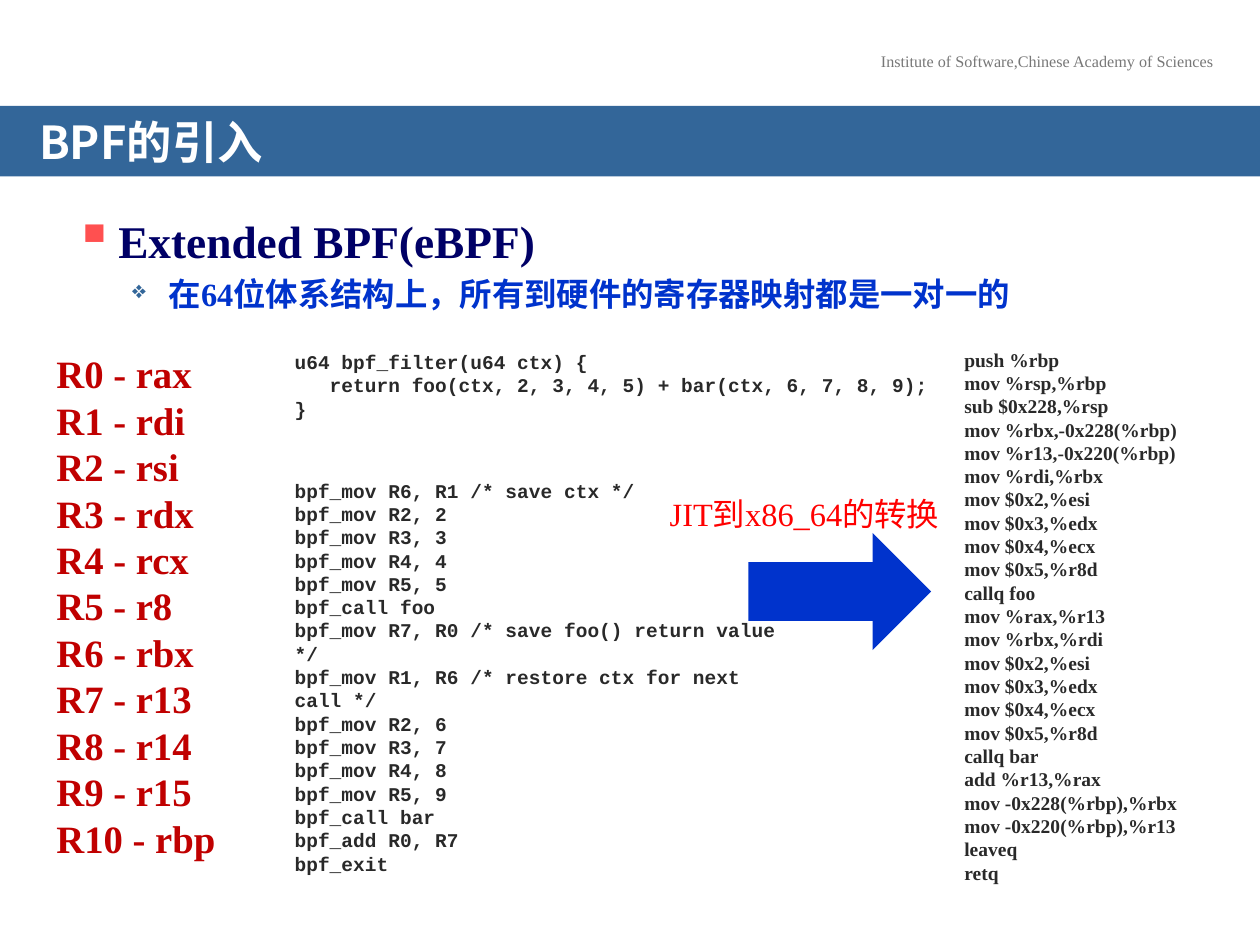
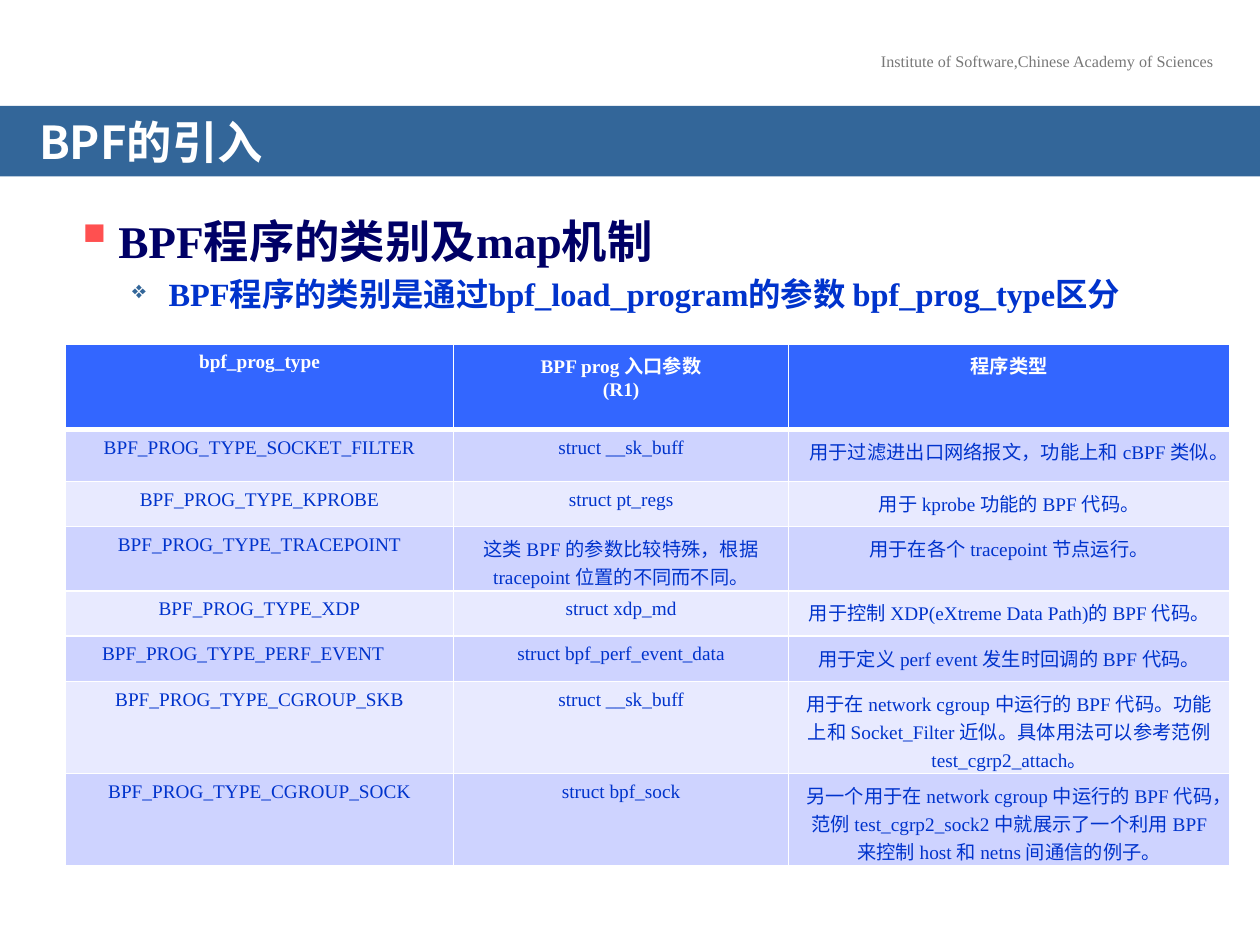
from dataclasses import dataclass

from lxml import etree
from pptx import Presentation
from pptx import util as u
from pptx.dml.color import RGBColor
from pptx.enum import shapes, text
from pptx.oxml import ns

INSTITUTE = "Institute of Software,Chinese Academy of Sciences"
TITLE = "BPF的引入"

REGISTERS = ["rax", "rdi", "rsi", "rdx", "rcx", "r8",
             "rbx", "r13", "r14", "r15", "rbp"]

C_SOURCE = """\
u64 bpf_filter(u64 ctx) {
   return foo(ctx, 2, 3, 4, 5) + bar(ctx, 6, 7, 8, 9);
}"""

BPF_CODE = """\
bpf_mov R6, R1 /* save ctx */
bpf_mov R2, 2
bpf_mov R3, 3
bpf_mov R4, 4
bpf_mov R5, 5
bpf_call foo
bpf_mov R7, R0 /* save foo() return value */
bpf_mov R1, R6 /* restore ctx for next call */
bpf_mov R2, 6
bpf_mov R3, 7
bpf_mov R4, 8
bpf_mov R5, 9
bpf_call bar
bpf_add R0, R7
bpf_exit"""

X86_CODE = """\
    push %rbp
    mov %rsp,%rbp
    sub $0x228,%rsp
    mov %rbx,-0x228(%rbp)
    mov %r13,-0x220(%rbp)
    mov %rdi,%rbx
    mov $0x2,%esi
    mov $0x3,%edx
    mov $0x4,%ecx
    mov $0x5,%r8d
    callq foo
    mov %rax,%r13
    mov %rbx,%rdi
    mov $0x2,%esi
    mov $0x3,%edx
    mov $0x4,%ecx
    mov $0x5,%r8d
    callq bar
    add %r13,%rax
    mov -0x228(%rbp),%rbx
    mov -0x220(%rbp),%r13
    leaveq
    retq"""

PROG_TYPES = [
    ("bpf_prog_type", "BPF prog 入口参数\n(R1)", "程序类型"),
    ("BPF_PROG_TYPE_SOCKET_FILTER", "struct __sk_buff",
     "用于过滤进出口网络报文，功能上和 cBPF 类似。"),
    ("BPF_PROG_TYPE_KPROBE", "struct pt_regs", "用于 kprobe 功能的 BPF 代码。"),
    ("BPF_PROG_TYPE_TRACEPOINT",
     "这类 BPF 的参数比较特殊，根据 tracepoint 位置的不同而不同。",
     "用于在各个 tracepoint 节点运行。"),
    ("BPF_PROG_TYPE_XDP", "struct xdp_md",
     "用于控制 XDP(eXtreme Data Path)的 BPF 代码。"),
    ("BPF_PROG_TYPE_PERF_EVENT\t", "struct bpf_perf_event_data",
     "用于定义 perf event 发生时回调的 BPF 代码。"),
    ("BPF_PROG_TYPE_CGROUP_SKB", "struct __sk_buff",
     "用于在 network cgroup 中运行的 BPF 代码。功能上和 Socket_Filter 近似。"
     "具体用法可以参考范例 test_cgrp2_attach。"),
    ("BPF_PROG_TYPE_CGROUP_SOCK", "struct bpf_sock",
     "另一个用于在 network cgroup 中运行的 BPF 代码，范例 test_cgrp2_sock2 "
     "中就展示了一个利用 BPF 来控制 host 和 netns 间通信的例子。"),
]
COLUMN_WIDTHS = [3.08, 2.66, 3.5]
ROW_HEIGHTS = [0.68, 0.41, 0.36, 0.51, 0.36, 0.36, 0.73, 0.73]


@dataclass(frozen=True)
class Theme:
    serif: str = "Times New Roman"
    cjk: str = "Noto Sans CJK SC"
    mono: str = "Courier New"
    white: str = "FFFFFF"
    grey: str = "777777"
    band: str = "336699"
    navy: str = "000066"
    blue: str = "0033CC"
    bullet: str = "FF5050"
    crimson: str = "C00000"
    red: str = "FF0000"
    ink: str = "292929"
    table_head: str = "3366FF"
    table_rows: tuple = ("CED3FF", "E8EAFF")
    heading_pt: float = 25.9
    register_pt: float = 22.1
    point_pt: float = 18.5
    code_pt: float = 11.1
    cell_pt: float = 11
    header_pt: float = 9.2


def rgb(value):
    return RGBColor.from_string(value)


def box(*lengths):
    return [u.Inches(n) for n in lengths]


def set_margins(obj, *lengths):
    (obj.margin_left, obj.margin_top,
     obj.margin_right, obj.margin_bottom) = box(*lengths)


def add_xml(parent, tag, **attrs):
    return etree.SubElement(parent, ns.qn(tag), attrs)


class Deck:
    def __init__(self, theme):
        self.theme = theme
        self.prs = Presentation()
        self.prs.slide_width, self.prs.slide_height = box(10, 7.5)
        self.s = None

    def format(self, p, size, color, font=None, bold=False, align=None):
        p.alignment = align
        for r in p.runs:
            r.font.size = u.Pt(size)
            r.font.bold = bold
            r.font.name = font or self.theme.serif
            r.font.color.rgb = rgb(color)
            add_xml(r.font._element, "a:ea", typeface=self.theme.cjk)

    def add_slide(self, title):
        """Start a slide with the shared header line and title band."""
        t = self.theme
        self.s = self.prs.slides.add_slide(self.prs.slide_layouts[5])
        self.add_text(INSTITUTE, (6.87, 0.36, 2.88, 0.26), t.header_pt, t.grey,
                      align=text.PP_ALIGN.CENTER, wrap=False)
        sp = self.s.shapes.title
        sp.left, sp.top, sp.width, sp.height = box(0, 0.84, 10, 0.56)
        sp.fill.solid()
        sp.fill.fore_color.rgb = rgb(t.band)
        tf = sp.text_frame
        tf.text = title
        tf.auto_size = text.MSO_AUTO_SIZE.NONE
        tf.vertical_anchor = text.MSO_ANCHOR.MIDDLE
        set_margins(tf, 0.31, 0.16, 0.31, 0.05)
        p = tf.paragraphs[0]
        p.line_spacing = 0.7
        self.format(p, t.heading_pt, t.white, t.cjk, True, text.PP_ALIGN.LEFT)

    def add_text(self, content, at, size, color, font=None, bold=False,
                 align=None, wrap=True):
        tf = self.s.shapes.add_textbox(*box(*at)).text_frame
        tf.word_wrap = wrap
        tf.text = content
        for p in tf.paragraphs:
            self.format(p, size, color, font, bold, align)

    def add_bullets(self, heading, point):
        t = self.theme
        tf = self.s.shapes.add_textbox(*box(0.49, 1.64, 9.01, 1)).text_frame
        tf.word_wrap = True
        tf.text = f"{heading}\n{point}"
        levels = [(0.35, 0.35, "▪", t.bullet, 120, t.heading_pt, t.navy),
                  (0.75, 0.29, "❖", t.band, 75, t.point_pt, t.blue)]
        for p, level in zip(tf.paragraphs, levels):
            left, hang, mark, mark_color, percent, size, color = level
            pPr = p._p.get_or_add_pPr()
            pPr.set("marL", str(u.Inches(left)))
            pPr.set("indent", str(-u.Inches(hang)))
            add_xml(add_xml(pPr, "a:buClr"), "a:srgbClr", val=mark_color)
            add_xml(pPr, "a:buSzPct", val=str(percent * 1000))
            add_xml(pPr, "a:buChar", char=mark)
            self.format(p, size, color, bold=True)
        tf.paragraphs[1].space_before = u.Pt(t.point_pt * 0.2)

    def add_arrow(self, at, color):
        sp = self.s.shapes.add_shape(shapes.MSO_SHAPE.RIGHT_ARROW, *box(*at))
        sp.shadow.inherit = False
        sp.fill.solid()
        sp.fill.fore_color.rgb = rgb(color)
        sp.line.fill.background()

    def add_table(self, rows, left, top, widths, heights):
        t = self.theme
        frame = self.s.shapes.add_table(
            len(rows), len(widths), *box(left, top, sum(widths), sum(heights)))
        table = frame.table
        for column, width in zip(table.columns, widths):
            column.width = u.Inches(width)
        for i, (row, height) in enumerate(zip(rows, heights)):
            table.rows[i].height = u.Inches(height)
            for j, content in enumerate(row):
                self.fill_cell(table.cell(i, j), content, i, t)

    def fill_cell(self, cell, content, row, t):
        head = row == 0
        cell.text_frame.text = content
        set_margins(cell, 0.12, 0.06, 0.12, 0.06)
        for p in cell.text_frame.paragraphs:
            self.format(p, t.cell_pt, t.white if head else t.blue,
                        bold=head, align=text.PP_ALIGN.CENTER)
        tcPr = cell._tc.get_or_add_tcPr()
        for side in "LRTB":
            thick = (head and side == "B") or (row == 1 and side == "T")
            ln = add_xml(tcPr, f"a:ln{side}", w=str(u.Pt(3 if thick else 1)))
            add_xml(add_xml(ln, "a:solidFill"), "a:srgbClr", val=t.white)
        cell.fill.solid()
        cell.fill.fore_color.rgb = rgb(
            t.table_head if head else t.table_rows[(row - 1) % 2])


def add_register_slide(deck):
    t = deck.theme
    deck.add_slide(TITLE)
    deck.add_bullets("Extended BPF(eBPF)",
                     "在64位体系结构上，所有到硬件的寄存器映射都是一对一的")
    mapping = "\n".join(f"R{n} - {reg}" for n, reg in enumerate(REGISTERS))
    deck.add_text(mapping, (0.35, 2.73, 1.53, 4.2), t.register_pt, t.crimson,
                  bold=True)
    for code, at, font in [
            (C_SOURCE, (2.24, 2.73, 6.57, 0.66), t.mono),
            (BPF_CODE, (2.24, 3.75, 4.14, 2.9), t.mono),
            (X86_CODE, (7.4, 2.71, 2.35, 4.39), t.serif)]:
        deck.add_text(code, at, t.code_pt, t.ink, font, bold=True)
    deck.add_arrow((5.94, 4.23, 1.45, 0.93), t.blue)
    deck.add_text("JIT到x86_64的转换", (5.12, 3.87, 2.53, 0.41), t.point_pt,
                  t.red, align=text.PP_ALIGN.CENTER)


def add_prog_type_slide(deck):
    deck.add_slide(TITLE)
    deck.add_bullets(
        "BPF程序的类别及map机制",
        "BPF程序的类别是通过bpf_load_program的参数 bpf_prog_type区分")
    deck.add_table(PROG_TYPES, 0.52, 2.73, COLUMN_WIDTHS, ROW_HEIGHTS)


def main():
    deck = Deck(Theme())
    add_register_slide(deck)
    add_prog_type_slide(deck)
    deck.prs.save("out.pptx")


if __name__ == "__main__":
    main()
